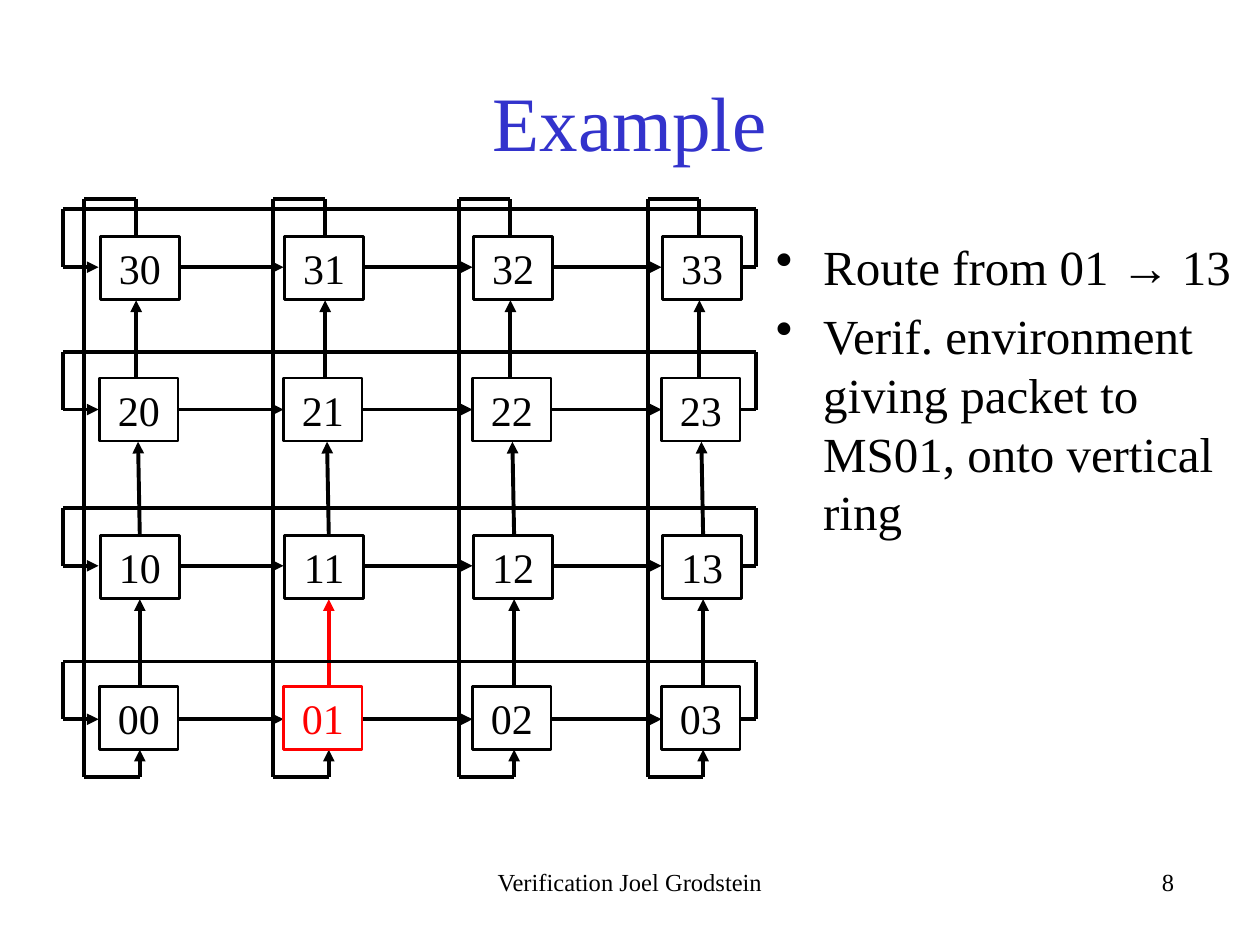
import pptx
import pptx.util
import pptx.dml.color
import pptx.enum.shapes
import pptx.enum.text
import pptx.oxml.ns
from dataclasses import dataclass
from lxml import etree

Pt = pptx.util.Pt
Align = pptx.enum.text.PP_ALIGN
Anchor = pptx.enum.text.MSO_ANCHOR
qn = pptx.oxml.ns.qn


@dataclass(frozen=True)
class Theme:
    font: str = "Times New Roman"
    ink: str = "000000"
    paper: str = "FFFFFF"
    title: str = "3333CC"
    route: str = "FF0000"
    title_size: float = 44
    body_size: float = 28
    node_size: float = 24
    footer_size: float = 14
    link_width: float = 2.25
    node_width: float = 1.5


def rgb(value):
    return pptx.dml.color.RGBColor.from_string(value)


def write(frame, *texts, font, size, color, align=Align.LEFT,
          anchor=Anchor.TOP, bullet=None, indent=0, before=0):
    """Fill a text frame with one paragraph for each text."""
    frame.word_wrap = True
    frame.vertical_anchor = anchor
    for index, text in enumerate(texts):
        paragraph = frame.add_paragraph() if index else frame.paragraphs[0]
        paragraph.alignment = align
        paragraph.space_before = Pt(before)
        run = paragraph.add_run()
        run.text = text
        run.font.name = font
        run.font.size = Pt(size)
        run.font.color.rgb = rgb(color)
        if bullet:
            props = paragraph._p.get_or_add_pPr()
            props.set("marL", str(Pt(indent)))
            props.set("indent", str(-Pt(indent)))
            etree.SubElement(props, qn("a:buChar")).set("char", bullet)


class SlideBuilder:
    def __init__(self, slide, theme):
        self.shapes = slide.shapes
        self.theme = theme

    def text(self, box, *texts, **style):
        area = self.shapes.add_textbox(*map(Pt, box))
        write(area.text_frame, *texts, font=self.theme.font, **style)

    def node(self, box, label, color):
        rect = self.shapes.add_shape(
            pptx.enum.shapes.MSO_SHAPE.RECTANGLE, *map(Pt, box))
        rect.shadow.inherit = False
        rect.fill.solid()
        rect.fill.fore_color.rgb = rgb(self.theme.paper)
        rect.line.color.rgb = rgb(color)
        rect.line.width = Pt(self.theme.node_width)
        write(rect.text_frame, label, font=self.theme.font,
              size=self.theme.node_size, color=color, align=Align.CENTER)

    def link(self, start, end, arrow=False, color=None):
        line = self.shapes.add_connector(
            pptx.enum.shapes.MSO_CONNECTOR.STRAIGHT, *map(Pt, start + end))
        line.line.color.rgb = rgb(color or self.theme.ink)
        line.line.width = Pt(self.theme.link_width)
        if arrow:
            etree.SubElement(line.line._get_or_add_ln(),
                             qn("a:tailEnd")).set("type", "triangle")
        etree.SubElement(line._element.spPr, qn("a:effectLst"))

    def path_of(self, *points, arrow=False):
        """Join points by links; the last one may carry the arrowhead."""
        last = len(points) - 2
        for index, (start, end) in enumerate(zip(points, points[1:])):
            self.link(start, end, arrow=arrow and index == last)


theme = Theme()
deck = pptx.Presentation()
deck.slide_width, deck.slide_height = Pt(720), Pt(540)
page = SlideBuilder(deck.slides.add_slide(deck.slide_layouts[6]), theme)

# Mesh geometry; rows run from 0 at the bottom to 3 at the top
NODE_W, NODE_H = 45, 36
node_lefts = [56.8, 162, 270, 378]
node_tops = [392.4, 306, 216, 135.2]
row_shifts = [0, 0.7, 0, 0.7]
row_axes = [411, 323.3, 234, 152.7]
ring_lefts = [48.2, 156.2, 262.1, 370.1]
stem_shifts = [(31.7, 31.7), (31.7, 30.7), (29.6, 29.6)]
RING_TOP, RING_BOTTOM = 113.8, 444.2
RING_LEFT, RING_RIGHT, RING_RISE = 36, 432, 33
SOURCE = (0, 1)

# Vertical rings
for column, left in enumerate(ring_lefts):
    for row, (low, high) in enumerate(stem_shifts):
        on_route = (row, column) == SOURCE
        page.link((left + low, node_tops[row]),
                  (left + high, node_tops[row + 1] + NODE_H + 0.4),
                  arrow=True, color=theme.route if on_route else theme.ink)
    top_x, bottom_x = left + stem_shifts[-1][1], left + stem_shifts[0][0]
    page.path_of((top_x, node_tops[-1]), (top_x, RING_TOP), (left, RING_TOP),
                 (left, RING_BOTTOM), (bottom_x, RING_BOTTOM),
                 (bottom_x, node_tops[0] + NODE_H), arrow=True)

# Horizontal rings
for y in row_axes:
    for left, following in zip(node_lefts, node_lefts[1:]):
        page.link((left + NODE_W, y), (following, y), arrow=True)
    page.path_of((node_lefts[-1] + NODE_W, y), (RING_RIGHT, y),
                 (RING_RIGHT, y - RING_RISE), (RING_LEFT, y - RING_RISE),
                 (RING_LEFT, y), (node_lefts[0] - 0.5, y), arrow=True)

# Mesh stops
for row, (top, shift) in enumerate(zip(node_tops, row_shifts)):
    for column, left in enumerate(node_lefts):
        page.node((left + shift, top, NODE_W, NODE_H), f"{row}{column}",
                  theme.route if (row, column) == SOURCE else theme.ink)

# Title, explanation and footer
page.text((54, 24, 612, 90), "Example", size=theme.title_size,
          color=theme.title, align=Align.CENTER, anchor=Anchor.MIDDLE)
page.text((436.3, 131.8, 281.5, 260), "Route from 01 → 13",
          "Verif. environment giving packet to MS01, onto vertical ring",
          size=theme.body_size, color=theme.ink, bullet="•", indent=27,
          before=5.6)
page.text((246, 492, 228, 36), "Verification Joel Grodstein",
          size=theme.footer_size, color=theme.ink, align=Align.CENTER)
page.text((450, 492, 228, 36), "8", size=theme.footer_size,
          color=theme.ink, align=Align.RIGHT)

deck.save("out.pptx")
